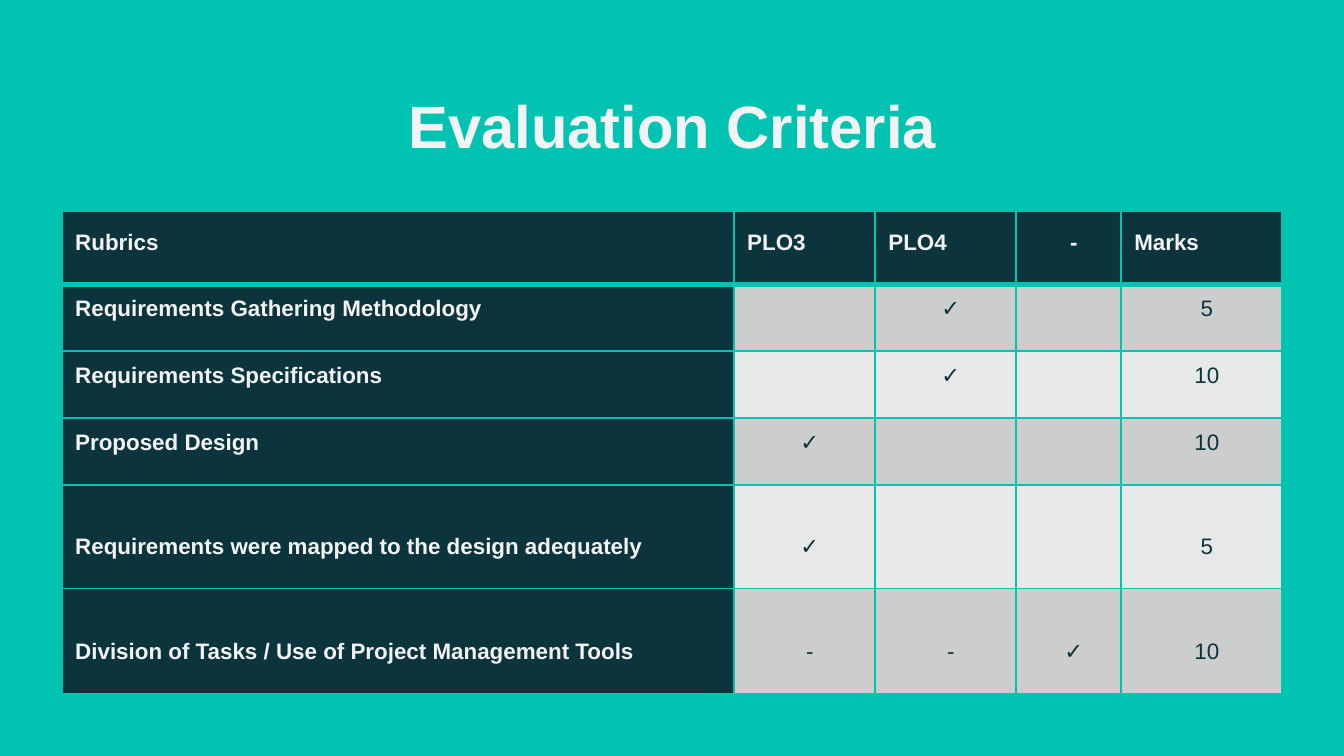
"""Build the evaluation criteria slide with its rubric table."""
from dataclasses import dataclass

from lxml.etree import SubElement
from pptx import Presentation
from pptx.dml.color import RGBColor
from pptx.enum.text import MSO_ANCHOR as Anchor, MSO_AUTO_SIZE as AutoSize, PP_ALIGN as Align
from pptx.oxml.ns import qn
from pptx.util import Inches, Pt

TEAL = RGBColor(0x00, 0xC3, 0xB1)
NAVY = RGBColor(0x0C, 0x34, 0x3D)
WHITE = RGBColor(0xF3, 0xF3, 0xF3)
DARK_BAND = RGBColor(0xCC, 0xCE, 0xCE)
LIGHT_BAND = RGBColor(0xE7, 0xE8, 0xE8)
FONT = "Arial"
SLIDE_WIDTH = 10
COLUMN_WIDTHS = (5, 1.05, 1.05, 0.78, 1.2)


@dataclass(frozen=True)
class TableRow:
    """One table row: its height in inches and its cell texts."""
    height: float
    texts: tuple[str, ...]


ROWS = (
    TableRow(0.55, ("Rubrics", "PLO3", "PLO4", "-", "Marks")),
    TableRow(0.49, ("Requirements Gathering Methodology", "", "✓", "", "5")),
    TableRow(0.5, ("Requirements Specifications", "", "✓", "", "10")),
    TableRow(0.5, ("Proposed Design", "✓", "", "", "10")),
    TableRow(0.77, ("Requirements were mapped to the design adequately", "✓", "", "", "5")),
    TableRow(0.78, ("Division of Tasks / Use of Project Management Tools", "-", "-", "✓", "10")),
)


def write_text(frame, text: str, *, size: float, color: RGBColor, bold: bool = True,
               align: Align = Align.LEFT, line_spacing: float = 1.0) -> None:
    """Write one formatted paragraph into a text frame."""
    para = frame.paragraphs[0]
    para.alignment = align
    para.line_spacing = line_spacing
    span = para.add_run()
    span.text = text
    span.font.name = FONT
    span.font.size = Pt(size)
    span.font.bold = bold
    span.font.color.rgb = color


def add_border(cell, side: str, width: float) -> None:
    """Add a solid teal border to one side of a cell."""
    properties = cell._tc.get_or_add_tcPr()
    line = SubElement(properties, qn(f"a:ln{side}"), w=str(Pt(width)))
    fill = SubElement(line, qn("a:solidFill"))
    SubElement(fill, qn("a:srgbClr"), val=str(TEAL))


def fill_cell(cell, text: str, row: int, column: int) -> None:
    """Format a cell by its place in the table and write its text."""
    heading = row == 0 or column == 0
    for side in "LRTB":
        below_header = (row, side) in ((0, "B"), (1, "T"))
        add_border(cell, side, 3 if below_header else 1)
    cell.fill.solid()
    cell.fill.fore_color.rgb = NAVY if heading else DARK_BAND if row % 2 else LIGHT_BAND
    if not text:
        return
    cell.vertical_anchor = Anchor.BOTTOM
    cell.margin_left, cell.margin_top = Inches(0.1), Inches(0.03)
    cell.margin_right, cell.margin_bottom = Inches(0.02), Inches(0.22)
    centred = text == "-" or not heading
    write_text(cell.text_frame, text, size=12, color=WHITE if heading else NAVY,
               bold=heading, align=Align.CENTER if centred else Align.LEFT,
               line_spacing=1.07)


def add_rubric(page) -> None:
    """Add the rubric table."""
    frame = page.shapes.add_table(
        len(ROWS), len(COLUMN_WIDTHS), Inches(0.46), Inches(1.57),
        Inches(sum(COLUMN_WIDTHS)), Inches(sum(row.height for row in ROWS)))
    table = frame.table
    for column, width in zip(table.columns, COLUMN_WIDTHS):
        column.width = Inches(width)
    for row_index, row in enumerate(ROWS):
        table.rows[row_index].height = Inches(row.height)
        for column_index, text in enumerate(row.texts):
            fill_cell(table.cell(row_index, column_index), text, row_index, column_index)


def add_title(page, text: str) -> None:
    """Place and format the title placeholder."""
    title = page.shapes.title
    title.left, title.top = Inches(0.79), Inches(0.56)
    title.width, title.height = Inches(8.43), Inches(0.63)
    frame = title.text_frame
    frame.word_wrap = True
    frame.auto_size = AutoSize.NONE
    frame.vertical_anchor = Anchor.TOP
    frame.margin_left = frame.margin_right = Inches(0.1)
    frame.margin_top = frame.margin_bottom = Inches(0.1)
    write_text(frame, text, size=32, color=WHITE, align=Align.CENTER)


def main() -> None:
    """Build and save the deck."""
    deck = Presentation()
    deck.slide_width = Inches(SLIDE_WIDTH)
    deck.slide_height = Inches(SLIDE_WIDTH * 9 / 16)
    page = deck.slides.add_slide(deck.slide_layouts[5])
    page.background.fill.solid()
    page.background.fill.fore_color.rgb = TEAL
    add_title(page, "Evaluation Criteria")
    add_rubric(page)
    deck.save("out.pptx")


if __name__ == "__main__":
    main()
